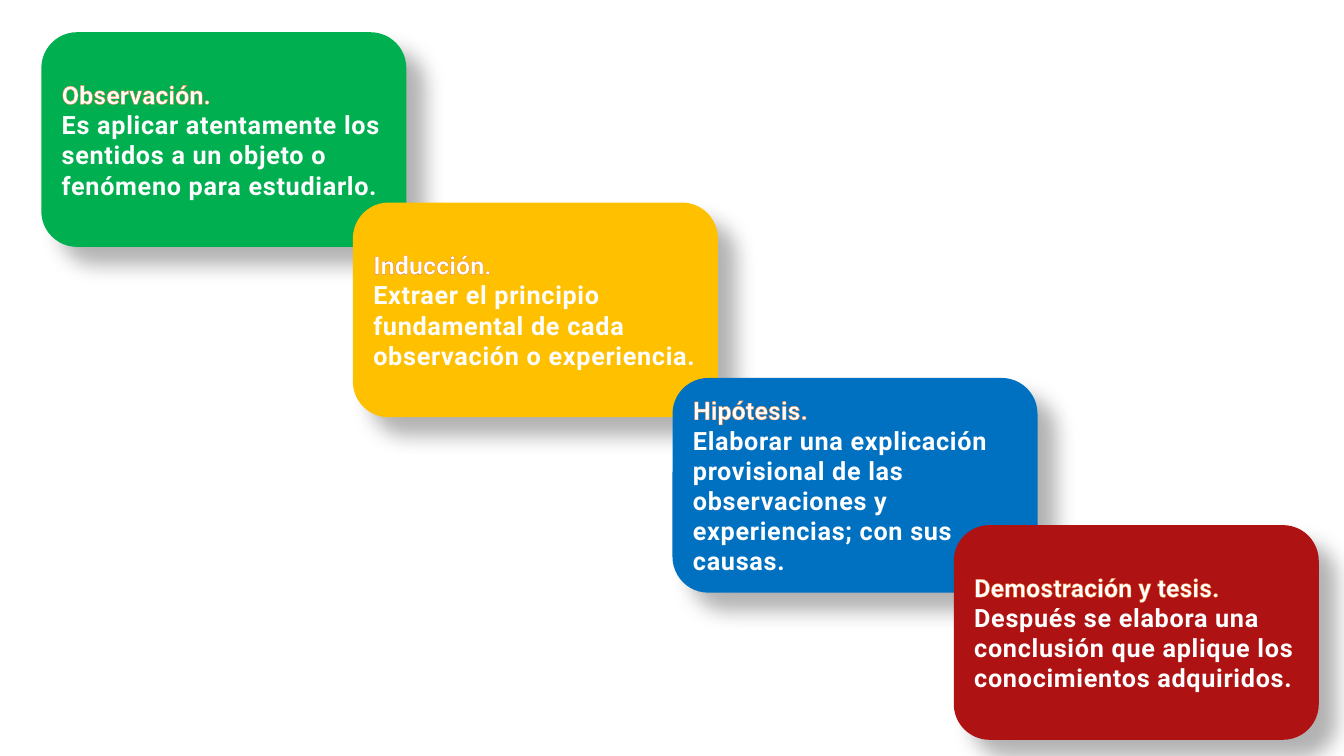
from dataclasses import dataclass

from lxml import etree
from pptx import Presentation
from pptx.dml.color import RGBColor
from pptx.enum import shapes, text
from pptx.oxml import ns
from pptx.util import Inches, Pt

GREEN = RGBColor(0x00, 0xB0, 0x50)
AMBER = RGBColor(0xFF, 0xC0, 0x00)
BLUE = RGBColor(0x00, 0x70, 0xC0)
RED = RGBColor(0xAE, 0x12, 0x12)
WHITE = RGBColor(0xFF, 0xFF, 0xFF)
OFF_WHITE = RGBColor(0xFE, 0xFE, 0xFE)
ORANGE_EDGE = RGBColor(0xED, 0x7D, 0x31)
BLUE_EDGE = RGBColor(0x5B, 0x9B, 0xD5)
SHADOW = RGBColor(0x00, 0x00, 0x00)

FONT = "Roboto"
STEP_WIDTH = Inches(3.62)
STEP_HEIGHT = Inches(2.13)


@dataclass(frozen=True)
class Step:
    left: float
    top: float
    fill: RGBColor
    name: str
    meaning: str


@dataclass(frozen=True)
class Lettering:
    color: RGBColor
    edge: RGBColor
    edge_width: float
    spacing: float


NAME_STYLE = Lettering(WHITE, ORANGE_EDGE, 0.52, 0)
MEANING_STYLE = Lettering(OFF_WHITE, BLUE_EDGE, 0.75, 0.5)

STEPS = [
    Step(0.41, 0.32, GREEN, "Observación.",
         "Es aplicar atentamente los sentidos a un objeto o fenómeno para estudiarlo."),
    Step(3.5, 2.01, AMBER, "Inducción.",
         "Extraer el principio fundamental de cada observación o experiencia."),
    Step(6.67, 3.75, BLUE, "Hipótesis.",
         "Elaborar una explicación provisional de las observaciones y experiencias; con sus causas."),
    Step(9.46, 5.21, RED, "Demostración y tesis.",
         "Después se elabora una conclusión que aplique los conocimientos adquiridos."),
]


def add_child(parent, tag: str, **attributes):
    values = {key: str(value) for key, value in attributes.items()}
    return etree.SubElement(parent, ns.qn(tag), values)


def cast_shadow(card) -> None:
    card.shadow.inherit = False
    effects = card._element.spPr.find(ns.qn("a:effectLst"))
    shadow = add_child(effects, "a:outerShdw", blurRad=Pt(15), dist=Pt(18),
                       dir=45 * 60000, algn="tl", rotWithShape=0)
    color = add_child(shadow, "a:srgbClr", val=SHADOW)
    add_child(color, "a:alpha", val=30000)


def format_paragraph(paragraph, style: Lettering) -> None:
    paragraph.alignment = text.PP_ALIGN.LEFT
    run = paragraph.runs[0]
    run.font.name = FONT
    run.font.size = Pt(18)
    run.font.bold = True
    run.font.color.rgb = style.color
    properties = run.font._element
    if style.spacing:
        properties.set("spc", str(int(style.spacing * 100)))
    edge = add_child(properties, "a:ln", w=Pt(style.edge_width))
    add_child(add_child(edge, "a:solidFill"), "a:srgbClr", val=style.edge)
    properties.insert(0, edge)


def add_step(slide, step: Step) -> None:
    card = slide.shapes.add_shape(
        shapes.MSO_SHAPE.ROUNDED_RECTANGLE,
        Inches(step.left), Inches(step.top), STEP_WIDTH, STEP_HEIGHT)
    card.fill.solid()
    card.fill.fore_color.rgb = step.fill
    card.line.fill.background()
    cast_shadow(card)
    frame = card.text_frame
    frame.word_wrap = True
    frame.vertical_anchor = text.MSO_ANCHOR.MIDDLE
    frame.text = f"{step.name}\n{step.meaning}"
    for paragraph, style in zip(frame.paragraphs, (NAME_STYLE, MEANING_STYLE)):
        format_paragraph(paragraph, style)


deck = Presentation()
deck.slide_width = Inches(13.33)
deck.slide_height = Inches(7.5)
method_slide = deck.slides.add_slide(deck.slide_layouts[6])
for method_step in STEPS:
    add_step(method_slide, method_step)
deck.save("out.pptx")
